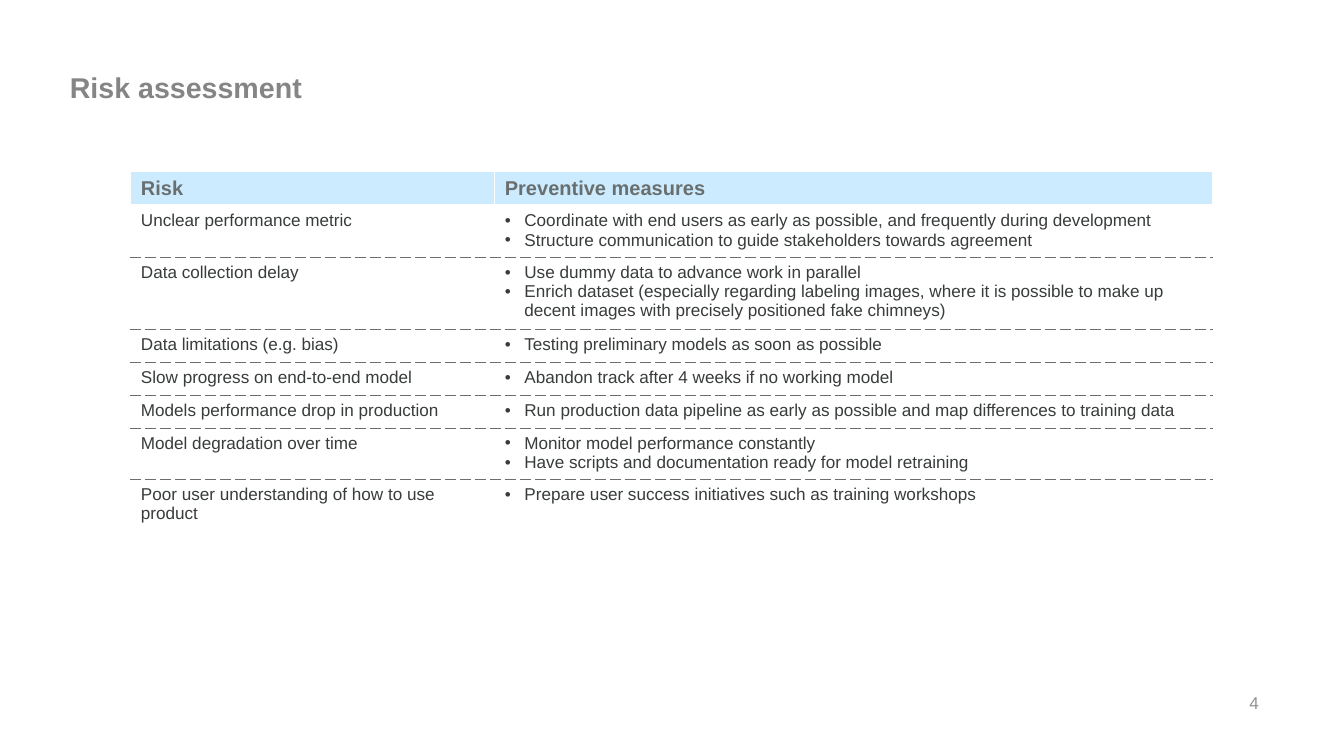
from lxml import etree
from pptx import Presentation
from pptx.dml.color import RGBColor
from pptx.enum.text import MSO_ANCHOR, PP_ALIGN
from pptx.oxml.ns import qn
from pptx.util import Inches, Pt

PAPER = RGBColor(0xFE, 0xFF, 0xFE)
TITLE_GREY = RGBColor(0x85, 0x85, 0x85)
PAGE_GREY = RGBColor(0x91, 0x92, 0x92)
HEADER_GREY = RGBColor(0x69, 0x6E, 0x6E)
BODY_GREY = RGBColor(0x39, 0x3C, 0x3C)
HEADER_BLUE = RGBColor(0xCD, 0xEB, 0xFF)

HEADINGS = ("Risk", "Preventive measures")
RISKS = [
    ("Unclear performance metric", [
        "Coordinate with end users as early as possible, and frequently during development",
        "Structure communication to guide stakeholders towards agreement"]),
    ("Data collection delay", [
        "Use dummy data to advance work in parallel",
        "Enrich dataset (especially regarding labeling images, where it is possible to make up "
        "decent images with precisely positioned fake chimneys)"]),
    ("Data limitations (e.g. bias)", ["Testing preliminary models as soon as possible"]),
    ("Slow progress on end-to-end model", ["Abandon track after 4 weeks if no working model"]),
    ("Models performance drop in production", [
        "Run production data pipeline as early as possible and map differences to training data"]),
    ("Model degradation over time", [
        "Monitor model performance constantly",
        "Have scripts and documentation ready for model retraining"]),
    ("Poor user understanding of how to use product", [
        "Prepare user success initiatives such as training workshops"]),
]


class RiskSlide:
    font = "Arial"
    bullet_indent = Inches(0.19)

    def __init__(self, deck):
        self.width, self.height = deck.slide_width, deck.slide_height
        self.slide = deck.slides.add_slide(deck.slide_layouts[6])
        fill = self.slide.background.fill
        fill.solid()
        fill.fore_color.rgb = PAPER

    def across(self, percent):
        return round(self.width * percent / 100)

    def down(self, percent):
        return round(self.height * percent / 100)

    def box(self, left, top, width, height):
        return self.across(left), self.down(top), self.across(width), self.down(height)

    def paragraphs(self, frame, lines, size, color, bold=False, bulleted=False):
        for index, line in enumerate(lines):
            paragraph = frame.add_paragraph() if index else frame.paragraphs[0]
            run = paragraph.add_run()
            run.text = line
            run.font.name, run.font.size, run.font.bold = self.font, Pt(size), bold
            run.font.color.rgb = color
            if bulleted:
                self.bullet(paragraph)

    def bullet(self, paragraph):
        properties = paragraph._p.get_or_add_pPr()
        properties.set("marL", str(self.bullet_indent))
        properties.set("indent", str(-self.bullet_indent))
        etree.SubElement(properties, qn("a:buFont"), typeface=self.font)
        etree.SubElement(properties, qn("a:buChar"), char="•")

    def text(self, area, line, size, color, bold=False, inset=0.1, align=PP_ALIGN.LEFT):
        frame = self.slide.shapes.add_textbox(*self.box(*area)).text_frame
        frame.word_wrap = True
        frame.vertical_anchor = MSO_ANCHOR.MIDDLE
        frame.margin_left = frame.margin_right = Inches(inset)
        frame.margin_top = frame.margin_bottom = 0
        self.paragraphs(frame, [line], size, color, bold)
        frame.paragraphs[0].alignment = align

    def borders(self, cell, top, bottom):
        plain = (PAPER, 1, "solid")
        properties = cell._tc.get_or_add_tcPr()
        edges = (("L", plain), ("R", plain), ("T", top), ("B", bottom))
        for position, (side, (color, points, dash)) in enumerate(edges):
            line = etree.Element(qn(f"a:ln{side}"), w=str(Pt(points)))
            paint = etree.SubElement(line, qn("a:solidFill"))
            etree.SubElement(paint, qn("a:srgbClr"), val=str(color))
            etree.SubElement(line, qn("a:prstDash"), val=dash)
            properties.insert(position, line)

    def table(self, area, column_widths, header_height, row_height):
        shape = self.slide.shapes.add_table(len(RISKS) + 1, len(HEADINGS), *self.box(*area))
        table = shape.table
        table.first_row = table.horz_banding = False
        for column, width in zip(table.columns, column_widths):
            column.width = self.across(width)
        for index, row in enumerate(table.rows):
            row.height = self.down(row_height if index else header_height)

        plain, thick = (PAPER, 1, "solid"), (PAPER, 3, "solid")
        dashed = (HEADER_GREY, 1, "sysDash")
        for column, heading in enumerate(HEADINGS):
            self.cell(table.cell(0, column), [heading], HEADER_BLUE, plain, thick,
                      size=14, color=HEADER_GREY, bold=True)
        for row, (risk, measures) in enumerate(RISKS, 1):
            top = thick if row == 1 else dashed
            bottom = plain if row == len(RISKS) else dashed
            for column, lines in enumerate(([risk], measures)):
                self.cell(table.cell(row, column), lines, PAPER, top, bottom,
                          size=12, color=BODY_GREY, bulleted=column == 1)

    def cell(self, cell, lines, fill, top, bottom, **style):
        cell.fill.solid()
        cell.fill.fore_color.rgb = fill
        self.borders(cell, top, bottom)
        self.paragraphs(cell.text_frame, lines, **style)


deck = Presentation()
deck.slide_width, deck.slide_height = Inches(13.07), Inches(7.35)
page = RiskSlide(deck)
page.text((5.2, 9.25, 89.2, 4.63), "Risk assessment", 20, TITLE_GREY, bold=True, inset=0)
page.table((9.72, 22.72, 80.49, 47.48), (27.08, 53.41), header_height=4.1, row_height=4.35)
page.text((71.46, 90.2, 22.95, 5.44), "4", 12, PAGE_GREY, align=PP_ALIGN.RIGHT)
deck.save("out.pptx")
